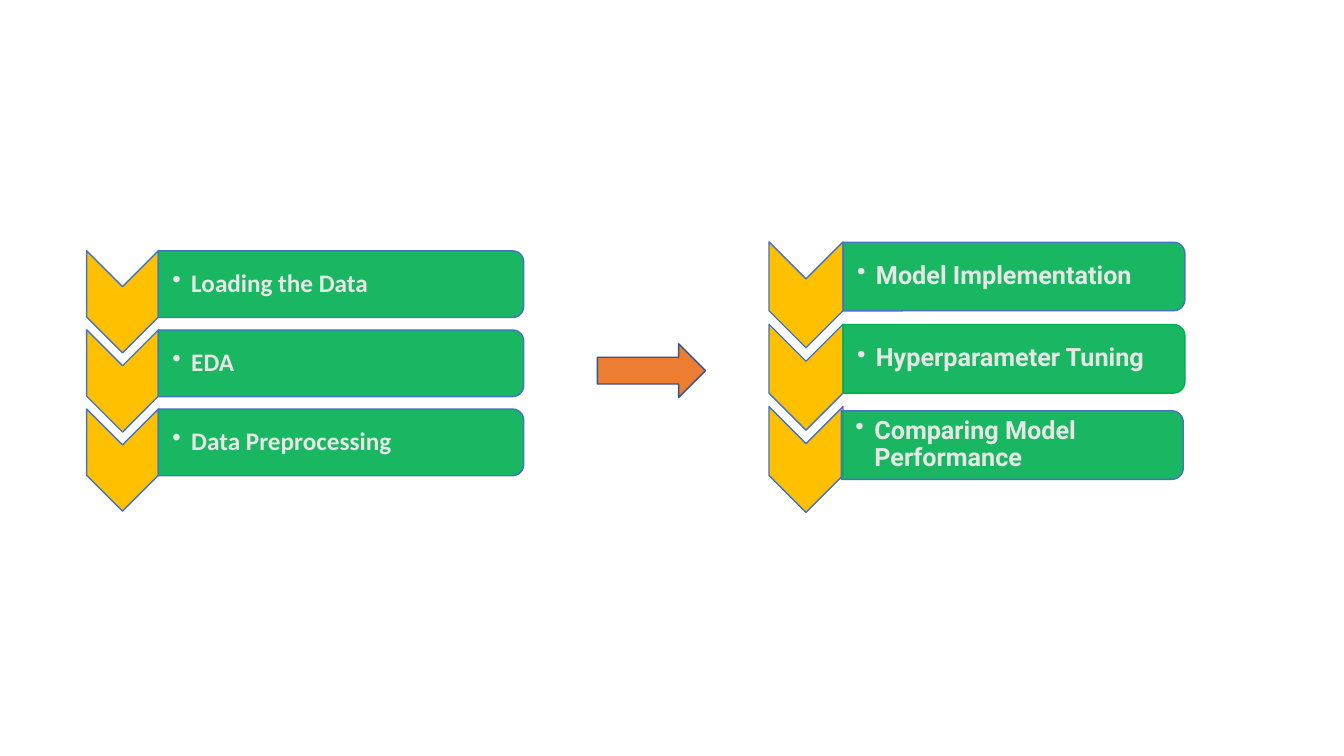
from lxml import etree
from pptx import Presentation
from pptx.dml.color import RGBColor
from pptx.enum.shapes import MSO_SHAPE
from pptx.enum.text import MSO_ANCHOR
from pptx.oxml.ns import qn
from pptx.util import Pt

CHEVRON = MSO_SHAPE.CHEVRON
BAR = MSO_SHAPE.ROUND_2_SAME_RECTANGLE
RIGHT_ARROW = MSO_SHAPE.RIGHT_ARROW
MIDDLE = MSO_ANCHOR.MIDDLE

COLORS = {
    "chevron": "FFC000",
    "bar": "00B050",
    "outline": "4472C4",
    "text": "E7E6E6",
    "arrow": "ED7D31",
    "arrow_outline": "325491",
}

STAGES = [
    {
        "font": "Calibri",
        "pitch": 56.5,
        "chevron_center": (87.5, 215.6),
        "chevron_size": (73, 51.3),
        "bar_center": (243.6, 203),
        "bar_size": (47.6, 261),
        "text_size": (258.5, 43),
        "steps": [
            ("Loading the Data", "outline", (0, 0)),
            ("EDA", "outline", (0, 0)),
            ("Data Preprocessing", "outline", (0, 0)),
        ],
    },
    {
        "font": "Roboto",
        "pitch": 58.8,
        "chevron_center": (575.7, 210.6),
        "chevron_size": (75.6, 52.9),
        "bar_center": (724.3, 197.5),
        "bar_size": (49, 244.2),
        "text_size": (242, 44),
        "steps": [
            ("Model Implementation", "outline", (0, 0)),
            ("Hyperparameter Tuning", "bar", (0, 0)),
            ("Comparing Model Performance", "outline", (-1.2, 2.8)),
        ],
    },
]
ARROW_BOX = (426.7, 245.6, 77.2, 38.3)


def color(name):
    return RGBColor.from_string(COLORS[name])


def centered_box(center, size):
    return center[0] - size[0] / 2, center[1] - size[1] / 2, *size


def add_shape(shapes, kind, box, fill, outline, rotation=0):
    shape = shapes.add_shape(kind, *map(Pt, box))
    shape.rotation = rotation
    shape.shadow.inherit = False
    shape.fill.solid()
    shape.fill.fore_color.rgb = color(fill)
    shape.line.color.rgb = color(outline)
    shape.line.width = Pt(1)
    return shape


def set_opacity(shape, percent):
    fill_color = shape.fill._xPr.find(qn("a:solidFill"))[0]
    etree.SubElement(fill_color, qn("a:alpha"), val=str(percent * 1000))


def add_label(shapes, box, text, font_name):
    frame = shapes.add_textbox(*map(Pt, box)).text_frame
    frame.word_wrap = True
    frame.vertical_anchor = MIDDLE
    frame.margin_left = Pt(10)
    frame.margin_top = frame.margin_right = frame.margin_bottom = Pt(0.9)
    paragraph = frame.paragraphs[0]
    paragraph.text = text
    paragraph.level = 1
    paragraph.line_spacing = 0.9
    paragraph.space_after = Pt(2.7)
    properties = paragraph._p.get_or_add_pPr()
    properties.set("marL", str(Pt(13.5)))
    properties.set("indent", str(-Pt(13.5)))
    etree.SubElement(properties, qn("a:buChar"), char="•")
    paragraph.font.name = font_name
    paragraph.font.size = Pt(18)
    paragraph.font.bold = True
    paragraph.font.color.rgb = color("text")


def add_stage(slide, stage):
    shapes = slide.shapes.add_group_shape().shapes
    chevron_x, chevron_y = stage["chevron_center"]
    bar_x, bar_y = stage["bar_center"]
    text_width, text_height = stage["text_size"]
    for index, (text, outline, (shift_x, shift_y)) in enumerate(stage["steps"]):
        drop = index * stage["pitch"]
        chevron_box = centered_box((chevron_x, chevron_y + drop), stage["chevron_size"])
        add_shape(shapes, CHEVRON, chevron_box, "chevron", "outline", 90)
        center = (bar_x + shift_x, bar_y + drop + shift_y)
        bar = add_shape(shapes, BAR, centered_box(center, stage["bar_size"]), "bar", outline, 90)
        set_opacity(bar, 90)
        text_left = center[0] - stage["bar_size"][1] / 2
        text_box = (text_left, center[1] - text_height / 2, text_width, text_height)
        add_label(shapes, text_box, text, stage["font"])


def main():
    presentation = Presentation()
    presentation.slide_width = Pt(960)
    presentation.slide_height = Pt(540)
    slide = presentation.slides.add_slide(presentation.slide_layouts[6])
    for stage in STAGES:
        add_stage(slide, stage)
    add_shape(slide.shapes, RIGHT_ARROW, ARROW_BOX, "arrow", "arrow_outline")
    presentation.save("out.pptx")


if __name__ == "__main__":
    main()
